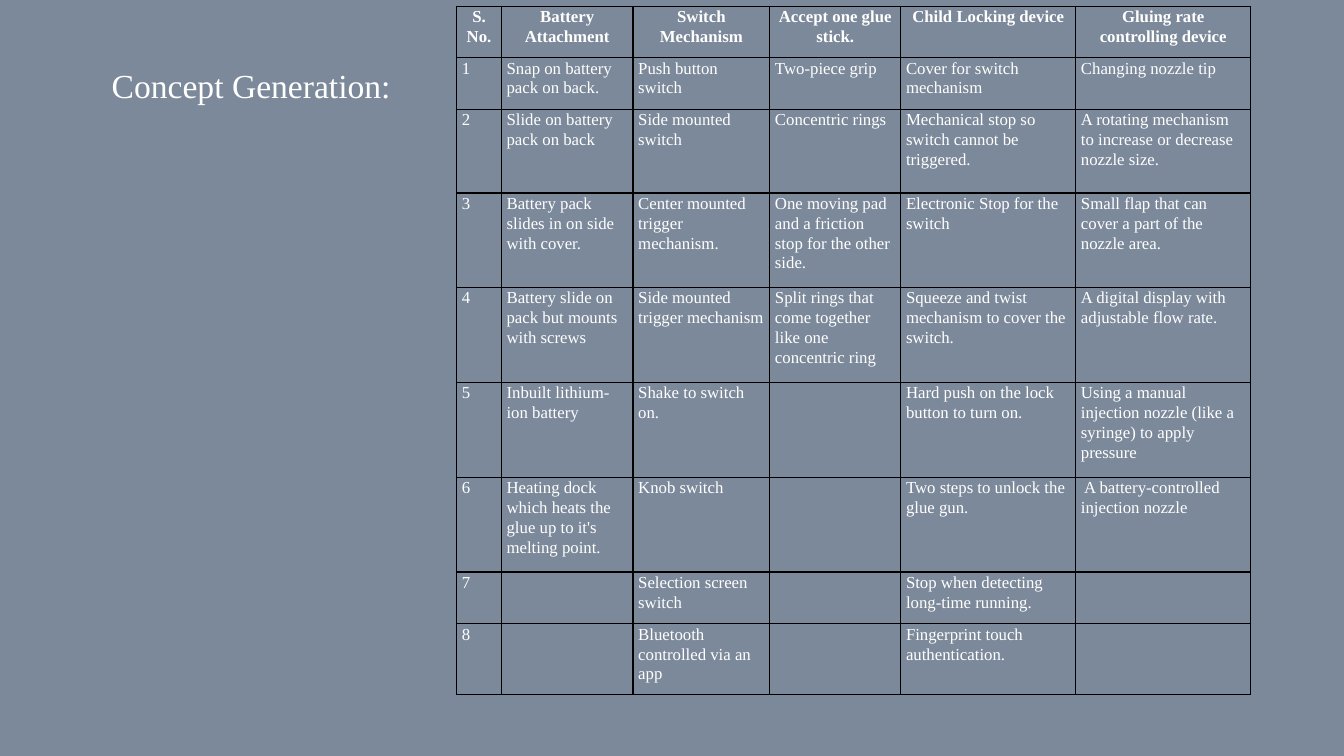
from dataclasses import dataclass

from lxml import etree
from pptx import Presentation
from pptx.dml.color import RGBColor
from pptx.enum.text import MSO_AUTO_SIZE, PP_ALIGN
from pptx.oxml.ns import qn
from pptx.util import Pt

CENTER = PP_ALIGN.CENTER
LEFT = PP_ALIGN.LEFT
FIT_SHAPE = MSO_AUTO_SIZE.SHAPE_TO_FIT_TEXT


@dataclass(frozen=True)
class Theme:
    """Colours, font and type sizes of the slide."""
    background: str = "7C899A"
    ink: str = "FFFFFF"
    grid: str = "000000"
    font: str = "Times New Roman"
    title_size: int = 24
    body_size: int = 12
    line_spacing: float = 1.07
    grid_width: int = 1
    inset: float = 3.7


THEME = Theme()
COLUMN_WIDTHS = (32, 94, 97.7, 93.6, 125, 125)
ROW_HEIGHTS = (36.9, 36.9, 59.7, 67.7, 67.7, 67.7, 67.7, 37, 50.6)
HEADINGS = ("S.\nNo.", "Battery Attachment", "Switch Mechanism", "Accept one glue stick.",
            "Child Locking device", "Gluing rate controlling device")
CONCEPTS = (
    ("Snap on battery pack on back.", "Push button switch", "Two-piece grip",
     "Cover for switch mechanism", "Changing nozzle tip"),
    ("Slide on battery pack on back", "Side mounted switch", "Concentric rings",
     "Mechanical stop so switch cannot be triggered.",
     "A rotating mechanism to increase or decrease nozzle size."),
    ("Battery pack slides in on side with cover.", "Center mounted trigger mechanism.",
     "One moving pad and a friction stop for the other side.",
     "Electronic Stop for the switch", "Small flap that can cover a part of the nozzle area."),
    ("Battery slide on pack but mounts with screws", "Side mounted trigger mechanism",
     "Split rings that come together like one concentric ring",
     "Squeeze and twist mechanism to cover the switch.",
     "A digital display with adjustable flow rate."),
    ("Inbuilt lithium-ion battery", "Shake to switch on.", "",
     "Hard push on the lock button to turn on.",
     "Using a manual injection nozzle (like a syringe) to apply pressure"),
    ("Heating dock which heats the glue up to it's melting point.", "Knob switch", "",
     "Two steps to unlock the glue gun.", " A battery-controlled injection nozzle"),
    ("", "Selection screen switch", "", "Stop when detecting long-time running.", ""),
    ("", "Bluetooth controlled via an app", "", "Fingerprint touch authentication.", ""),
)


def style_runs(paragraph, size, bold=False):
    """Apply the theme font and ink to every run of a paragraph."""
    for run in paragraph.runs:
        run.font.name = THEME.font
        run.font.size = Pt(size)
        run.font.bold = bold
        run.font.color.rgb = RGBColor.from_string(THEME.ink)


def rule_cell(cell):
    """Draw the grid line on all four sides of a cell."""
    properties = cell._tc.get_or_add_tcPr()
    for side in ("a:lnL", "a:lnR", "a:lnT", "a:lnB"):
        line = etree.SubElement(properties, qn(side), w=str(Pt(THEME.grid_width)))
        fill = etree.SubElement(line, qn("a:solidFill"))
        etree.SubElement(fill, qn("a:srgbClr"), val=THEME.grid)


def fill_cell(cell, text, heading):
    """Write one concept or heading into its cell."""
    rule_cell(cell)
    cell.fill.background()
    cell.margin_left = cell.margin_right = Pt(THEME.inset)
    cell.margin_top = cell.margin_bottom = 0
    cell.text_frame.text = text
    for paragraph in cell.text_frame.paragraphs:
        paragraph.alignment = CENTER if heading else LEFT
        paragraph.line_spacing = THEME.line_spacing
        style_runs(paragraph, THEME.body_size, heading)


def add_title(slide, left, top, width, height):
    """Place the slide title in the given box."""
    title = slide.shapes.add_textbox(Pt(left), Pt(top), Pt(width), Pt(height))
    frame = title.text_frame
    frame.word_wrap = False
    frame.auto_size = FIT_SHAPE
    frame.text = "Concept Generation:"
    style_runs(frame.paragraphs[0], THEME.title_size)


def add_concept_table(slide, left, top, width, height):
    """Place the numbered concept table in the given box."""
    rows = [HEADINGS] + [(str(number), *ideas) for number, ideas in enumerate(CONCEPTS, 1)]
    table = slide.shapes.add_table(len(rows), len(HEADINGS), Pt(left), Pt(top),
                                   Pt(width), Pt(height)).table
    table.first_row = table.horz_banding = False
    for column, share in zip(table.columns, COLUMN_WIDTHS):
        column.width = Pt(width * share / sum(COLUMN_WIDTHS))
    for row, share in zip(table.rows, ROW_HEIGHTS):
        row.height = Pt(height * share / sum(ROW_HEIGHTS))
    for row_index, texts in enumerate(rows):
        for column_index, text in enumerate(texts):
            fill_cell(table.cell(row_index, column_index), text, row_index == 0)


def main():
    """Build the concept generation slide and save it."""
    deck = Presentation()
    deck.slide_width, deck.slide_height = Pt(960), Pt(540)
    slide = deck.slides.add_slide(deck.slide_layouts[6])
    slide.background.fill.solid()
    slide.background.fill.fore_color.rgb = RGBColor.from_string(THEME.background)
    add_title(slide, 72.7, 42.5, 215.3, 36)
    add_concept_table(slide, 326.2, 4.4, 567.3, 491.9)
    deck.save("out.pptx")


if __name__ == "__main__":
    main()
